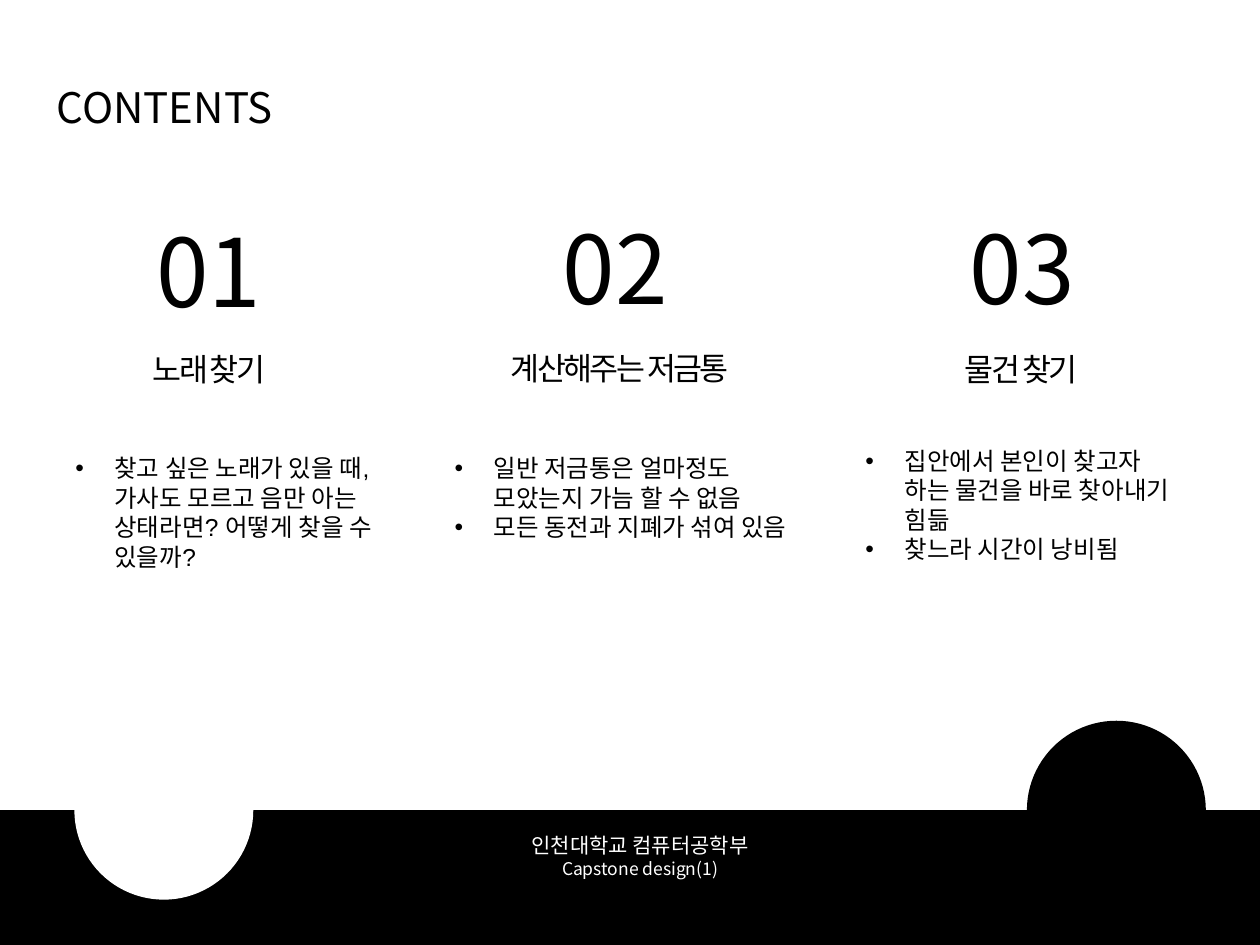
from lxml.etree import SubElement
from pptx import Presentation
from pptx.dml.color import RGBColor
from pptx.enum.shapes import MSO_SHAPE as Shape
from pptx.enum.text import MSO_ANCHOR as Anchor, MSO_AUTO_SIZE as AutoSize, PP_ALIGN as Align
from pptx.oxml.ns import qn
from pptx.util import Inches, Pt

COLORS = {"ink": "000000", "paper": "FFFFFF"}
SANS, BODY = "Noto Sans CJK KR", "Arial"

TITLE = "CONTENTS"
# Each box is left, top, width, height in inches.
TOPICS = [
    {"number": ("01", (1.14, 1.64, 1.5, 1.01)),
     "heading": ("노래 찾기", (0.91, 2.73, 1.5, 0.4)),
     "bullets": (["찾고 싶은 노래가 있을 때, 가사도 모르고 음만 아는 상태라면? 어떻게 찾을 수 있을까?"],
                 (0.5, 3.55, 2.69, 1.04))},
    {"number": ("02", (4.37, 1.62, 1.5, 1.01)),
     "heading": ("계산해주는 저금통", (3.82, 2.72, 2.2, 0.4)),
     "bullets": (["일반 저금통은 얼마정도 모았는지 가늠 할 수 없음", "모든 동전과 지폐가 섞여 있음"],
                 (3.51, 3.55, 2.97, 1.04))},
    {"number": ("03", (7.6, 1.62, 1.5, 1.01)),
     "heading": ("물건 찾기", (7.2, 2.73, 1.81, 0.4)),
     "bullets": (["집안에서 본인이 찾고자 하는 물건을 바로 찾아내기 힘듦", "찾느라 시간이 낭비됨"],
                 (6.77, 3.49, 2.68, 1.04))},
]
FOOTER = [("인천대학교 컴퓨터공학부", 12), ("Capstone design(1)", 10)]
FOOTER_SHAPES = [
    (Shape.OVAL, (8.15, 5.72, 1.42, 1.42), "ink"),
    (Shape.RECTANGLE, (0, 6.43, 10, 1.18), "ink"),
    (Shape.OVAL, (0.59, 5.72, 1.42, 1.42), "paper"),
]


def place(sp, box):
    for name, value in zip(("left", "top", "width", "height"), box):
        setattr(sp, name, Inches(value))


def write(sp, lines, align=Align.LEFT, font=SANS, color="ink", spacing=None, bullet=False):
    """Fill a shape with one paragraph for each (text, size) pair."""
    tf = sp.text_frame
    frame = {"word_wrap": True, "auto_size": AutoSize.NONE, "vertical_anchor": Anchor.TOP}
    for name, value in frame.items():
        setattr(tf, name, value)
    for i, (text, size) in enumerate(lines):
        p = tf.paragraphs[0] if i == 0 else tf.add_paragraph()
        p.alignment = align
        if bullet:
            pPr = p._p.get_or_add_pPr()
            pPr.set("marL", str(Inches(0.31)))
            pPr.set("indent", str(-Inches(0.31)))
            SubElement(pPr, qn("a:buFont"), typeface=BODY)
            SubElement(pPr, qn("a:buChar"), char="•")
        r = p.add_run()
        r.text = text
        r.font.name, r.font.size = font, Pt(size)
        r.font.color.rgb = RGBColor.from_string(COLORS[color])
        rPr = r._r.get_or_add_rPr()
        SubElement(rPr, qn("a:ea"), typeface=SANS)
        if spacing is not None:
            rPr.set("spc", str(int(spacing * 100)))


def add_text(s, box, lines, **style):
    write(s.shapes.add_textbox(*map(Inches, box)), lines, **style)


def add_shape(s, kind, box, color):
    sp = s.shapes.add_shape(kind, *map(Inches, box))
    sp.shadow.inherit = False
    sp.fill.solid()
    sp.fill.fore_color.rgb = RGBColor.from_string(COLORS[color])
    sp.line.fill.background()


def main():
    prs = Presentation()
    prs.slide_width, prs.slide_height = Inches(10), Inches(7.5)
    s = prs.slides.add_slide(prs.slide_layouts[5])
    place(s.shapes.title, (0.35, 0.6, 4.57, 0.5))
    write(s.shapes.title, [(TITLE, 24)])

    for topic in TOPICS:
        number, box = topic["number"]
        add_text(s, box, [(number, 54)])
        heading, box = topic["heading"]
        add_text(s, box, [(heading, 18)], align=Align.CENTER, spacing=-1.5)
        bullets, box = topic["bullets"]
        add_text(s, box, [(text, 14) for text in bullets], font=BODY, bullet=True)

    for kind, box, color in FOOTER_SHAPES:
        add_shape(s, kind, box, color)
    add_text(s, (3.11, 6.56, 3.94, 0.47), FOOTER, align=Align.CENTER, color="paper")
    prs.save("out.pptx")


if __name__ == "__main__":
    main()
